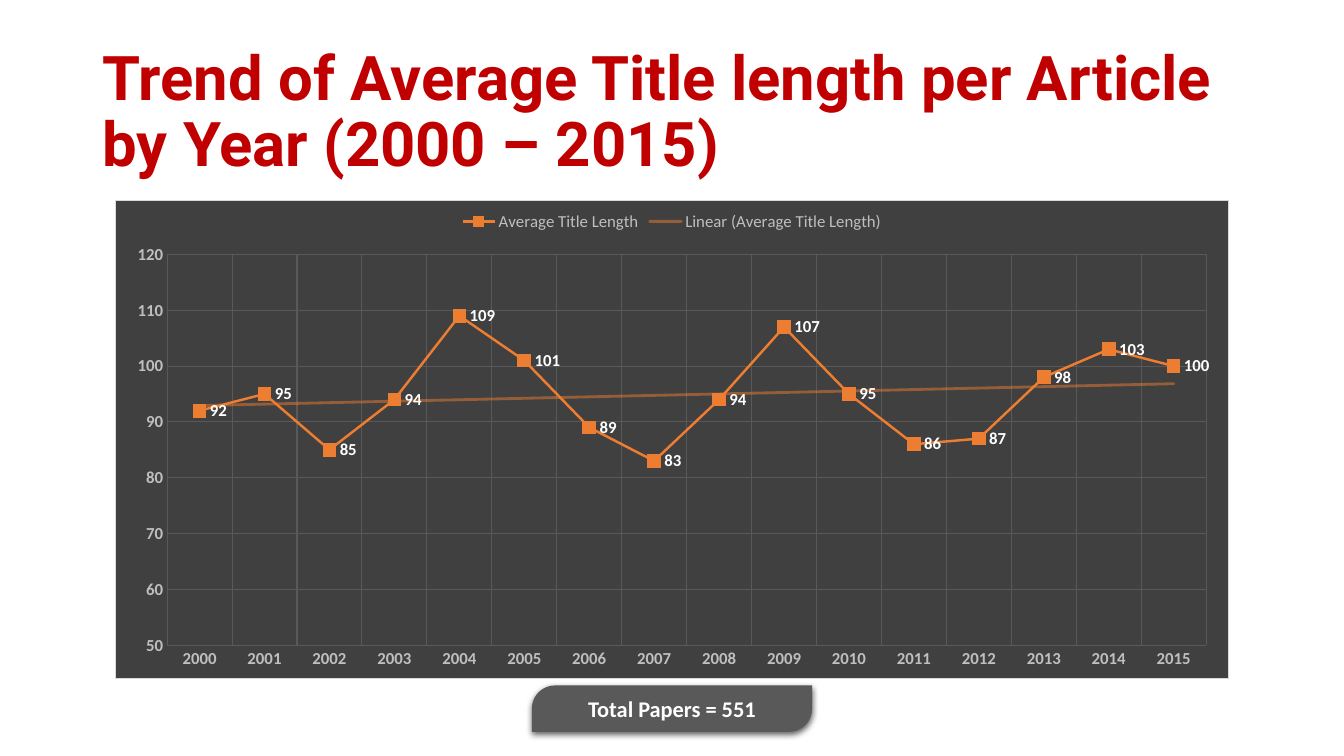
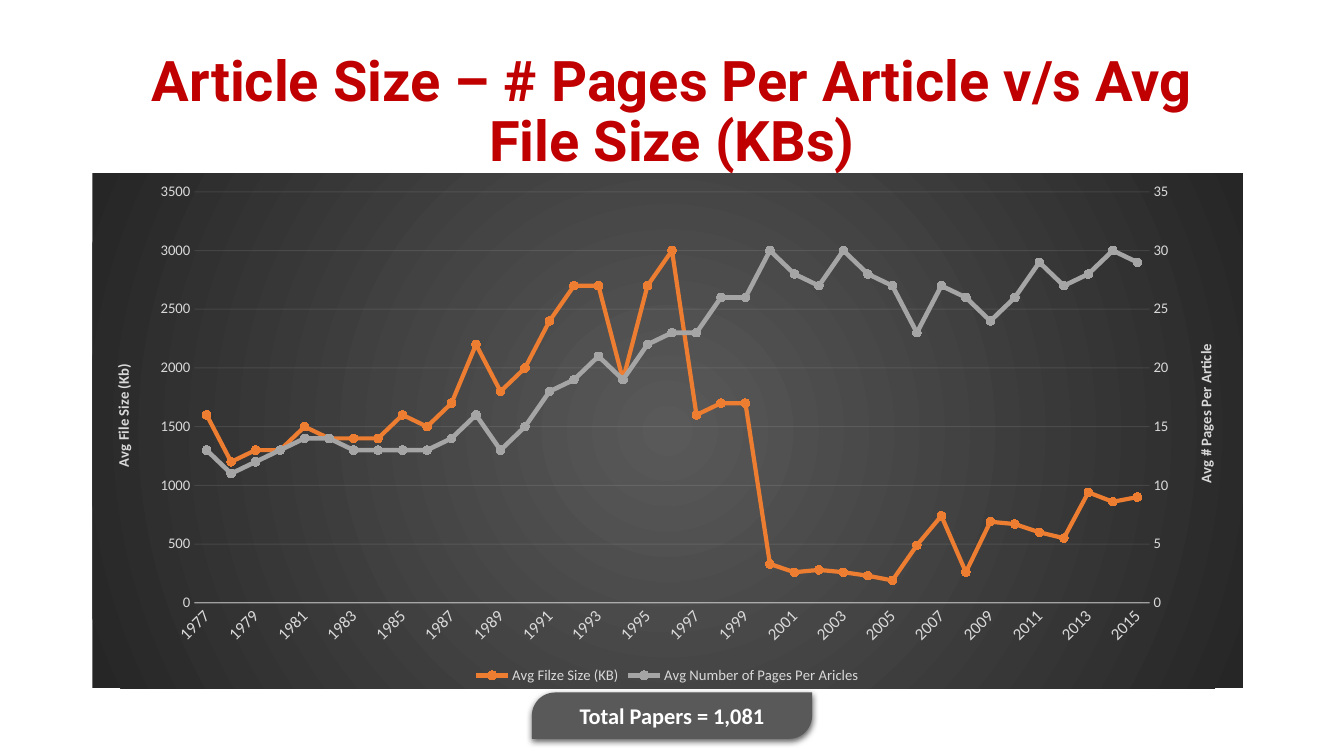
from copy import deepcopy

from pptx import Presentation
from pptx import util as u
from pptx.chart.data import CategoryChartData
from pptx.dml.color import RGBColor
from pptx.enum import chart as charts, shapes, text
from pptx.oxml import parse_xml
from pptx.oxml.ns import nsdecls, qn

RED = RGBColor(0xC0, 0x00, 0x00)
WHITE = RGBColor(0xFF, 0xFF, 0xFF)
PALE = RGBColor(0xF2, 0xF2, 0xF2)
LIGHT = RGBColor(0xD9, 0xD9, 0xD9)
SILVER = RGBColor(0xBF, 0xBF, 0xBF)
GRAY = RGBColor(0xA5, 0xA5, 0xA5)
SLATE = RGBColor(0x59, 0x59, 0x59)
CHARCOAL = RGBColor(0x40, 0x40, 0x40)
BLACK = RGBColor(0x26, 0x26, 0x26)
ORANGE = RGBColor(0xED, 0x7D, 0x31)

TITLE_LENGTHS = [92, 95, 85, 94, 109, 101, 89, 83, 94, 107, 95, 86, 87, 98, 103, 100]
FILE_SIZES = [
    1600, 1200, 1300, 1300, 1500, 1400, 1400, 1400, 1600, 1500, 1700, 2200, 1800,
    2000, 2400, 2700, 2700, 1900, 2700, 3000, 1600, 1700, 1700, 330, 260, 280, 260,
    230, 190, 490, 740, 260, 690, 670, 600, 550, 940, 860, 900]
PAGE_COUNTS = [
    13, 11, 12, 13, 14, 14, 13, 13, 13, 13, 14, 16, 13, 15, 18, 19, 21, 19, 22, 23,
    23, 26, 26, 30, 28, 27, 30, 28, 27, 23, 27, 26, 24, 26, 29, 27, 28, 30, 29]


def apply(target, **values):
    for name, value in values.items():
        setattr(target, name, value)


def style_font(font, size, color, bold=False, name="Calibri"):
    apply(font, size=u.Pt(size), bold=bold, name=name)
    font.color.rgb = color


def style_line(line, color, width, alpha=None):
    line.color.rgb = color
    line.width = u.Pt(width)
    if alpha:
        line._ln.find(".//" + qn("a:srgbClr")).append(
            parse_xml(f'<a:alpha {nsdecls("a")} val="{alpha * 1000}"/>'))


def solid(color):
    return f'<a:solidFill><a:srgbClr val="{color}"/></a:solidFill>'


def radial(inner, outer):
    return (f'<a:gradFill><a:gsLst><a:gs pos="0"><a:srgbClr val="{inner}"/></a:gs>'
            f'<a:gs pos="100000"><a:srgbClr val="{outer}"/></a:gs></a:gsLst>'
            '<a:path path="circle"><a:fillToRect l="50000" t="50000" r="50000" '
            'b="50000"/></a:path></a:gradFill>')


def set_layout(parent, index, **percentages):
    """Place a chart part by percentages of the chart's size."""
    for old in parent.findall(qn("c:layout")):
        parent.remove(old)
    target = '<c:layoutTarget val="inner"/>' if "w" in percentages else ""
    modes = '<c:xMode val="edge"/><c:yMode val="edge"/>'
    places = "".join(f'<c:{key} val="{value / 100:.4f}"/>'
                     for key, value in percentages.items())
    parent.insert(index, parse_xml(
        f'<c:layout {nsdecls("c")}><c:manualLayout>{target}{modes}{places}'
        '</c:manualLayout></c:layout>'))


def add_trendline(series, name, color):
    series._element.find(qn("c:cat")).addprevious(parse_xml(
        f'<c:trendline {nsdecls("c", "a")}><c:name>{name}</c:name><c:spPr>'
        f'<a:ln w="25400" cap="rnd"><a:solidFill><a:srgbClr val="{color}">'
        '<a:alpha val="50000"/></a:srgbClr></a:solidFill></a:ln></c:spPr>'
        '<c:trendlineType val="linear"/><c:dispRSqr val="0"/><c:dispEq val="0"/>'
        '</c:trendline>'))


def add_right_axis(chart, title, maximum, unit):
    """Move the last series to a second pair of axes."""
    plot_area = chart._chartSpace.chart.plotArea
    left_plot = plot_area.find(qn("c:lineChart"))
    right_plot = deepcopy(left_plot)
    left_plot.remove(left_plot.findall(qn("c:ser"))[-1])
    for series in right_plot.findall(qn("c:ser"))[:-1]:
        right_plot.remove(series)
    left_plot.addnext(right_plot)

    left_value = plot_area.find(qn("c:valAx"))
    category = deepcopy(plot_area.find(qn("c:catAx")))
    value = deepcopy(left_value)
    left_value.addnext(value)
    value.addnext(category)
    ids = {axis.find(qn("c:axId")).get("val"): str(number)
           for number, axis in enumerate((category, value), 5001)}
    for part in (right_plot, category, value):
        for tag in ("c:axId", "c:crossAx"):
            for element in part.findall(qn(tag)):
                element.set("val", ids[element.get("val")])
    value.remove(value.find(qn("c:majorGridlines")))
    category.find(qn("c:delete")).set("val", "1")
    changes = {"c:axPos": "r", "c:crosses": "max", "c:majorUnit": unit}
    for tag, setting in changes.items():
        value.find(qn(tag)).set("val", str(setting))
    value.find(qn("c:scaling")).find(qn("c:max")).set("val", str(maximum))
    heading = value.find(qn("c:title"))
    heading.find(".//" + qn("a:t")).text = title
    set_layout(heading, 1, x=95.7, y=32.6)


class Deck:
    TITLE_BOX = (6.87, 5.35, 86.25, 19.33)
    PILL_WIDTH, PILL_HEIGHT = 20.85, 6.13

    def __init__(self):
        self.presentation = Presentation()
        apply(self.presentation, slide_width=u.Inches(13.33), slide_height=u.Inches(7.5))
        self.slide = None

    def box(self, left, top, width, height):
        """Turn percentages of the slide into lengths."""
        across = self.presentation.slide_width / 100
        down = self.presentation.slide_height / 100
        return [int(left * across), int(top * down), int(width * across), int(height * down)]

    def add_slide(self, title, size, alignment):
        self.slide = self.presentation.slides.add_slide(self.presentation.slide_layouts[5])
        shape = self.slide.shapes.title
        apply(shape, **dict(zip(("left", "top", "width", "height"), self.box(*self.TITLE_BOX))))
        frame = shape.text_frame
        apply(frame, text=title, word_wrap=True, auto_size=text.MSO_AUTO_SIZE.NONE,
              vertical_anchor=text.MSO_ANCHOR.MIDDLE)
        paragraph = frame.paragraphs[0]
        apply(paragraph, alignment=alignment, line_spacing=0.9)
        style_font(paragraph.runs[0].font, size, RED, True, "Roboto")

    def add_total(self, label, top):
        left = (100 - self.PILL_WIDTH) / 2
        shape = self.slide.shapes.add_shape(
            shapes.MSO_SHAPE.ROUND_2_DIAG_RECTANGLE,
            *self.box(left, top, self.PILL_WIDTH, self.PILL_HEIGHT))
        shape.adjustments[0] = 0.5
        shape.fill.solid()
        shape.fill.fore_color.rgb = SLATE
        shape.line.fill.background()
        shape.shadow.inherit = False
        shape._element.spPr.find(qn("a:effectLst")).append(parse_xml(
            f'<a:outerShdw {nsdecls("a")} blurRad="57150" dist="19050" dir="5400000" '
            'algn="ctr" rotWithShape="0"><a:srgbClr val="000000"><a:alpha val="63000"/>'
            '</a:srgbClr></a:outerShdw>'))
        frame = shape.text_frame
        apply(frame, text=label, vertical_anchor=text.MSO_ANCHOR.MIDDLE)
        paragraph = frame.paragraphs[0]
        paragraph.alignment = text.PP_ALIGN.CENTER
        style_font(paragraph.runs[0].font, 16, WHITE, True)

    def add_line_chart(self, kind, box, years, series, fill, plot, legend, border=None):
        """Each series is (name, values, colour, line width, marker, marker size)."""
        data = CategoryChartData()
        data.categories = [str(year) for year in years]
        for name, values, *_ in series:
            data.add_series(name, values)
        chart = self.slide.shapes.add_chart(kind, *self.box(*box), data).chart
        position, size, color = legend
        apply(chart, has_title=False, has_legend=True)
        style_font(chart.font, size, color)
        apply(chart.legend, position=position, include_in_layout=False)
        style_font(chart.legend.font, size, color)
        chart.plots[0].vary_by_categories = False
        for line, (_, _, color, width, marker, size) in zip(chart.plots[0].series, series):
            line.smooth = False
            style_line(line.format.line, color, width)
            apply(line.marker, style=marker, size=size)
            line.marker.format.fill.solid()
            line.marker.format.fill.fore_color.rgb = color
            line.marker.format.line.color.rgb = color
        outline = f'<a:ln w="9525">{solid(border)}</a:ln>' if border else '<a:ln><a:noFill/></a:ln>'
        chart._chartSpace.chart.addnext(parse_xml(
            f'<c:spPr {nsdecls("c", "a")}>{fill}{outline}</c:spPr>'))
        set_layout(chart._chartSpace.chart.plotArea, 0, **plot)
        return chart

    def style_axis(self, axis, size, color, bold=False, grid=None, line=None, **scale):
        """Grid and line are (colour, width, opacity)."""
        apply(axis, major_tick_mark=charts.XL_TICK_MARK.NONE,
              minor_tick_mark=charts.XL_TICK_MARK.NONE,
              has_major_gridlines=bool(grid), **scale)
        style_font(axis.tick_labels.font, size, color, bold)
        if grid:
            style_line(axis.major_gridlines.format.line, *grid)
        if line:
            style_line(axis.format.line, *line)
        else:
            axis.format.line.fill.background()

    def add_axis_title(self, axis, title, size, color):
        frame = axis.axis_title.text_frame
        frame.text = title
        rotation = {"rot": "-5400000", "vert": "horz"}
        for name, value in rotation.items():
            frame._txBody.bodyPr.set(name, value)
        style_font(frame.paragraphs[0].runs[0].font, size, color, True)
        set_layout(axis.axis_title._element, 1, x=1.6, y=36.5)


def build_title_length(deck):
    deck.add_slide("Trend of Average Title length per Article by Year (2000 – 2015)",
                   44, text.PP_ALIGN.LEFT)
    name = "Average Title Length"
    chart = deck.add_line_chart(
        charts.XL_CHART_TYPE.LINE_MARKERS,
        (8.56, 26.4, 82.9, 63.47), range(2000, 2016),
        [(name, TITLE_LENGTHS, ORANGE, 1.75, charts.XL_MARKER_STYLE.SQUARE, 9)],
        solid(CHARCOAL), dict(x=4.63, y=11.35, w=93.35, h=81.65),
        (charts.XL_LEGEND_POSITION.TOP, 12, SILVER), LIGHT)
    grid = (SLATE, 0.75)
    deck.style_axis(chart.category_axis, 12, SILVER, True, grid)
    deck.style_axis(chart.value_axis, 12, SILVER, True, grid,
                    minimum_scale=50, maximum_scale=120, major_unit=10)
    series = chart.plots[0].series[0]
    apply(series.data_labels, show_value=True, position=charts.XL_LABEL_POSITION.RIGHT)
    style_font(series.data_labels.font, 12, WHITE, True)
    add_trendline(series, f"Linear ({name})", ORANGE)
    deck.add_total("Total Papers = 551", 90.67)


def build_article_size(deck):
    deck.add_slide("Article Size – # Pages Per Article v/s Avg File Size (KBs)",
                   40, text.PP_ALIGN.CENTER)
    deck.add_total("Total Papers = 1,081", 91.6)
    circle = charts.XL_MARKER_STYLE.CIRCLE
    chart = deck.add_line_chart(
        charts.XL_CHART_TYPE.LINE_MARKERS_STACKED,
        (6.87, 22.93, 85.6, 68.13), range(1977, 2016),
        [("Avg Filze Size (KB)", FILE_SIZES, ORANGE, 3, circle, 6),
         ("Avg Number of Pages Per Aricles", PAGE_COUNTS, GRAY, 3.25, circle, 6)],
        radial(SLATE, BLACK), dict(x=8.87, y=3.6, w=83.03, h=79.8),
        (charts.XL_LEGEND_POSITION.BOTTOM, 10.5, LIGHT))
    deck.style_axis(chart.category_axis, 12, LIGHT, line=(PALE, 1, 54))
    chart.category_axis._element.find(qn("c:txPr")).find(qn("a:bodyPr")).set("rot", "-2700000")
    deck.style_axis(chart.value_axis, 10.5, LIGHT, grid=(PALE, 0.75, 10),
                    minimum_scale=0, maximum_scale=3500, major_unit=500)
    deck.add_axis_title(chart.value_axis, "Avg File Size (Kb)", 10.5, LIGHT)
    add_right_axis(chart, "Avg # Pages Per Article", 35, 5)


def main():
    deck = Deck()
    build_title_length(deck)
    build_article_size(deck)
    deck.presentation.save("out.pptx")


if __name__ == "__main__":
    main()
